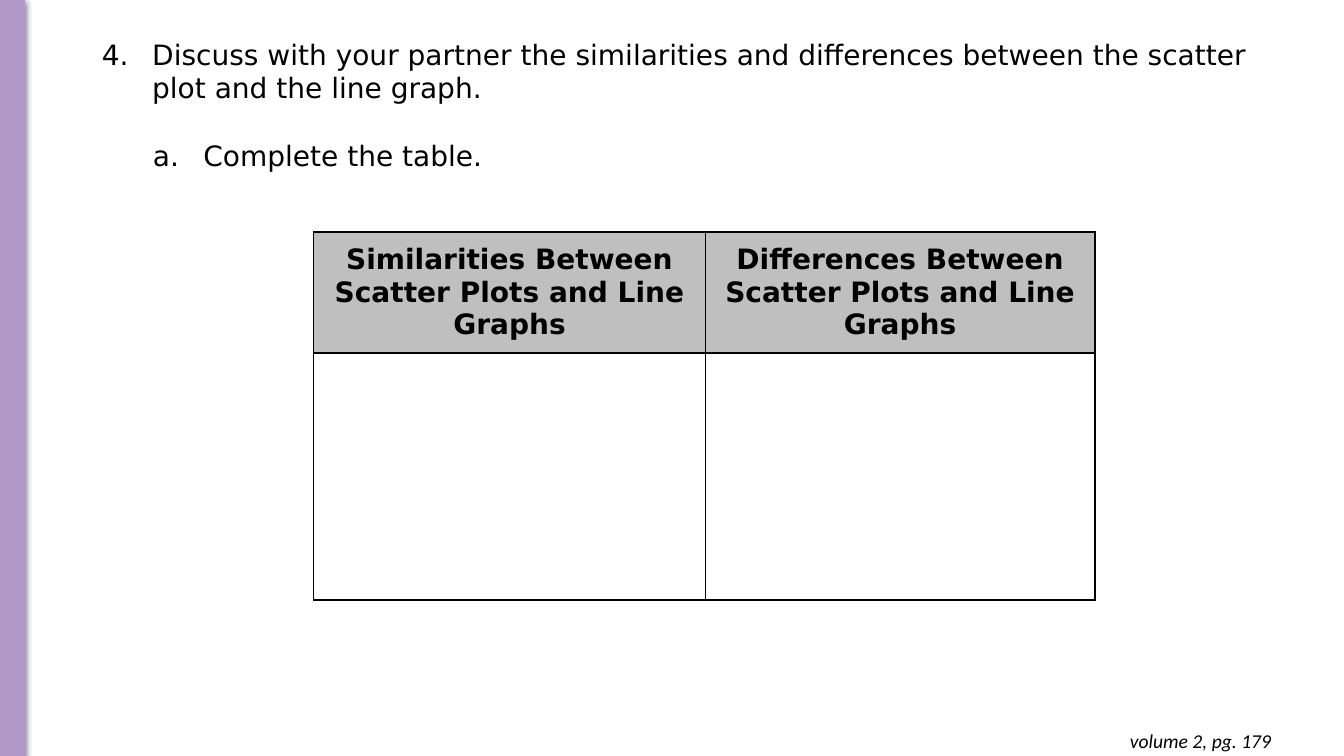
from dataclasses import dataclass

import pptx
import pptx.dml.color
import pptx.enum.shapes
import pptx.enum.text
import pptx.oxml
import pptx.oxml.ns
import pptx.util
from lxml import etree

Pt = pptx.util.Pt
RGB = pptx.dml.color.RGBColor
Align = pptx.enum.text.PP_ALIGN
Anchor = pptx.enum.text.MSO_ANCHOR
Fit = pptx.enum.text.MSO_AUTO_SIZE
qn = pptx.oxml.ns.qn


@dataclass(frozen=True)
class Theme:
    ink: str = "000000"
    bar: str = "B399C8"
    head: str = "BFBFBF"
    font: str = "DejaVu Sans"
    note: str = "Calibri"
    size: float = 20
    small: float = 14


@dataclass(frozen=True)
class Item:
    text: str
    style: str
    start: int
    level: int
    left: float
    gap: float


THEME = Theme()
HANG = 36
ITEMS = [
    Item("Discuss with your partner the similarities and differences "
         "between the scatter plot and the line graph.",
         "arabicPeriod", 4, 0, 36, 0),
    Item("Complete the table.", "alphaLcPeriod", 1, 1, 72.5, 24),
]
HEADS = [f"{kind} Between Scatter Plots and Line Graphs"
         for kind in ("Similarities", "Differences")]
COLS = [280, 278]
ROWS = [77.8, 176.4]


def add_node(parent, tag: str, **attrs: str):
    return etree.SubElement(parent, qn(tag), attrs)


def add_run(para, text: str, font: str = THEME.font, size: float = THEME.size,
            bold: bool = False, italic: bool = False) -> None:
    run = para.add_run()
    run.text = text
    run.font.name = font
    run.font.size = Pt(size)
    run.font.bold = bold
    run.font.italic = italic
    run.font.color.rgb = RGB.from_string(THEME.ink)


def add_bar(slide) -> None:
    bar = slide.shapes.add_shape(
        pptx.enum.shapes.MSO_SHAPE.RECTANGLE, 0, 0, Pt(17.5), Pt(540.5))
    color = RGB.from_string(THEME.bar)
    bar.fill.solid()
    bar.fill.fore_color.rgb = color
    bar.line.color.rgb = color
    bar.line.width = Pt(0.75)
    bar.shadow.inherit = False
    effects = bar._element.spPr.find(qn("a:effectLst"))
    shade = add_node(effects, "a:outerShdw", blurRad=str(Pt(4.5)),
                     dist=str(Pt(1.5)), dir="5400000", rotWithShape="0")
    tint = add_node(shade, "a:srgbClr", val=THEME.ink)
    add_node(tint, "a:alpha", val="50000")


def add_item(para, item: Item) -> None:
    para.level = item.level
    props = para._p.get_or_add_pPr()
    props.set("marL", str(Pt(item.left)))
    props.set("indent", str(-Pt(HANG)))
    add_node(add_node(props, "a:buClr"), "a:srgbClr", val=THEME.ink)
    add_node(props, "a:buFont", typeface=THEME.font)
    add_node(props, "a:buAutoNum", type=item.style, startAt=str(item.start))
    para.space_before = Pt(item.gap)
    para.alignment = Align.LEFT
    add_run(para, item.text)


def fill_body(slide) -> None:
    body = slide.placeholders[1]
    body.left, body.top, body.width, body.height = map(
        Pt, (65.5, 23, 874.8, 104.4))
    frame = body.text_frame
    frame.word_wrap = True
    frame.auto_size = Fit.SHAPE_TO_FIT_TEXT
    frame.vertical_anchor = Anchor.TOP
    for index, item in enumerate(ITEMS):
        para = frame.add_paragraph() if index else frame.paragraphs[0]
        add_item(para, item)


def add_edges(cell) -> None:
    """Draw all four borders; they must come before the fill."""
    props = cell._tc.get_or_add_tcPr()
    for side in ("L", "R", "T", "B"):
        edge = add_node(props, f"a:ln{side}", w=str(Pt(1.5)))
        fill = add_node(edge, "a:solidFill")
        add_node(fill, "a:srgbClr", val=THEME.ink)


def add_grid(slide) -> None:
    grid = slide.shapes.add_table(
        len(ROWS), len(COLS), Pt(224), Pt(165.6),
        Pt(sum(COLS)), Pt(sum(ROWS))).table
    for row, high in zip(grid.rows, ROWS):
        row.height = Pt(high)
    for col, wide in zip(grid.columns, COLS):
        col.width = Pt(wide)
    for cell in grid.iter_cells():
        add_edges(cell)
        cell.fill.background()
    for index, text in enumerate(HEADS):
        cell = grid.cell(0, index)
        cell.fill.solid()
        cell.fill.fore_color.rgb = RGB.from_string(THEME.head)
        cell.vertical_anchor = Anchor.MIDDLE
        cell.margin_left = cell.margin_right = Pt(7.2)
        cell.margin_top = cell.margin_bottom = Pt(7.2)
        para = cell.text_frame.paragraphs[0]
        para.alignment = Align.CENTER
        add_run(para, text, bold=True)


def add_note(slide) -> None:
    box = slide.shapes.add_textbox(Pt(707.8), Pt(513.4), Pt(207.4), Pt(31.7))
    frame = box.text_frame
    frame.word_wrap = True
    frame.auto_size = Fit.SHAPE_TO_FIT_TEXT
    frame.margin_left = frame.margin_right = Pt(7.2)
    frame.margin_top = frame.margin_bottom = Pt(7.2)
    para = frame.paragraphs[0]
    para.alignment = Align.RIGHT
    add_run(para, "volume 2, pg. 179", THEME.note, THEME.small, italic=True)


def main() -> None:
    deck = pptx.Presentation()
    deck.slide_width, deck.slide_height = Pt(960), Pt(540)
    slide = deck.slides.add_slide(deck.slide_layouts[1])
    title = slide.shapes.title._element
    title.getparent().remove(title)
    add_bar(slide)
    fill_body(slide)
    add_grid(slide)
    add_note(slide)
    deck.save("out.pptx")


if __name__ == "__main__":
    main()
